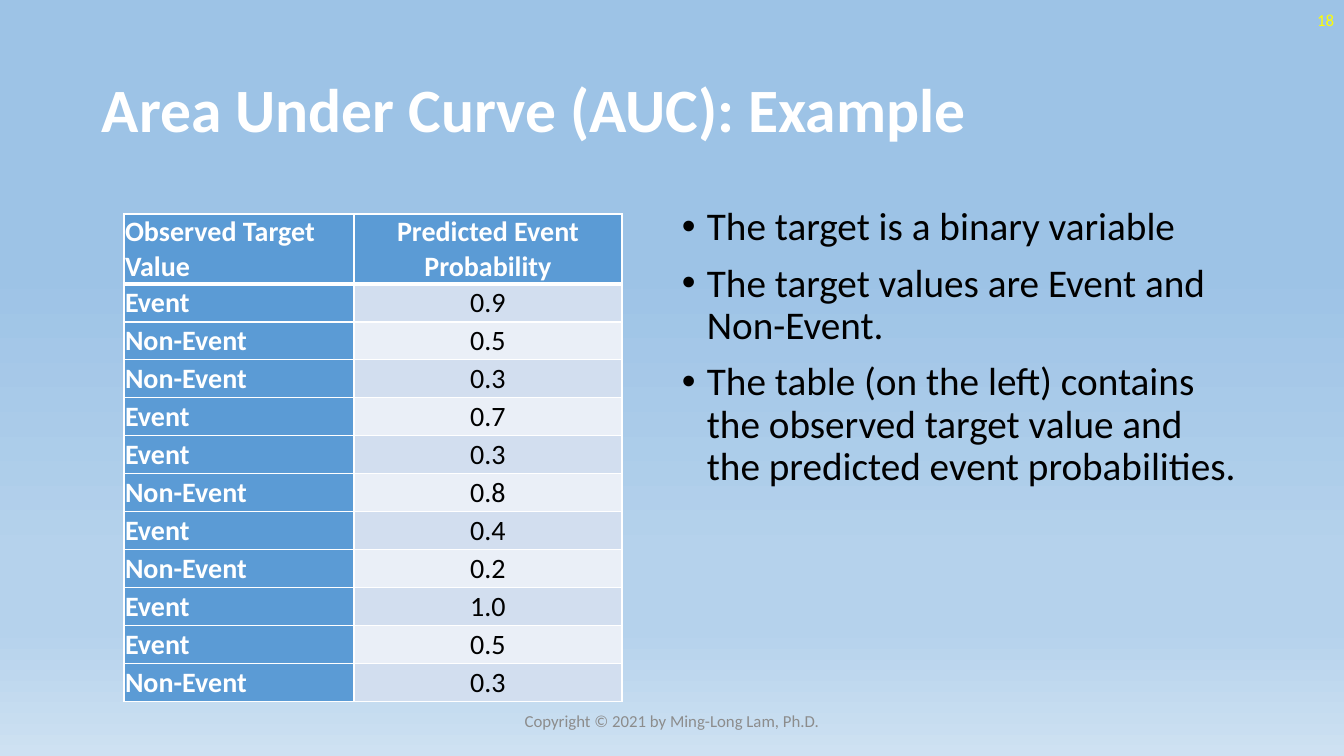
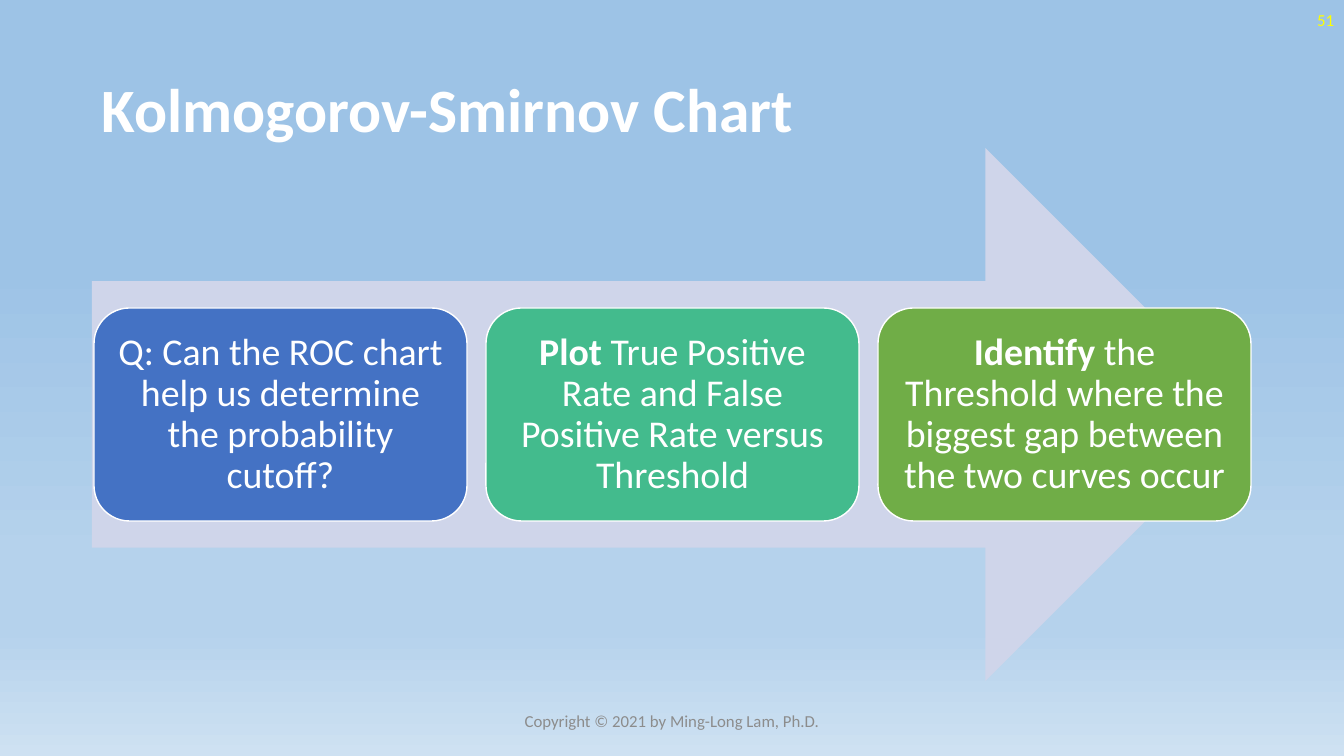
from dataclasses import dataclass

from lxml.etree import SubElement
from pptx import Presentation
from pptx.dml.color import RGBColor
from pptx.enum.shapes import MSO_SHAPE
from pptx.enum.text import MSO_ANCHOR, PP_ALIGN
from pptx.oxml.ns import qn
from pptx.util import Pt

PX = 914400 / 100.8


@dataclass(frozen=True)
class Theme:
    font: str = "Calibri"
    white: str = "FFFFFF"
    black: str = "000000"
    number: str = "FFFF00"
    footer: str = "8C8C8C"
    header: str = "5B9BD5"
    bands: tuple = ("D2DEEF", "EAEFF7")
    arrow: str = "CFD5EA"
    steps: tuple = ("4472C4", "43BB8D", "70AD47")
    sky: tuple = ((35, "9DC3E6"), (74, "B5D2EC"), (83, "B5D2EC"), (100, "CEE1F2"))
    title_size: int = 44
    body_size: int = 28
    step_size: int = 27
    table_size: int = 20
    small_size: int = 12


theme = Theme()


def px(*lengths):
    return [round(length * PX) for length in lengths]


def write(frame, paragraphs, size, color, frame_format=None, paragraph_format=None):
    frame_values = {"word_wrap": True, "vertical_anchor": MSO_ANCHOR.MIDDLE, **(frame_format or {})}
    for name, value in frame_values.items():
        setattr(frame, name, value)
    for index, runs in enumerate(paragraphs):
        paragraph = frame.add_paragraph() if index else frame.paragraphs[0]
        for name, value in (paragraph_format or {}).items():
            setattr(paragraph, name, value)
        for words, bold in runs:
            run = paragraph.add_run()
            run.text = words
            for name, value in {"name": theme.font, "size": Pt(size), "bold": bold}.items():
                setattr(run.font, name, value)
            run.font.color.rgb = RGBColor.from_string(color)


prs = Presentation()
prs.slide_width, prs.slide_height = px(1344, 756)

sky = prs.slide_master.background.fill
sky.gradient()
sky.gradient_angle = 270
stops = next(prs.slide_master.element.iter(qn("a:gsLst")))
for stop in list(stops):
    stops.remove(stop)
for position, color in theme.sky:
    stop = SubElement(stops, qn("a:gs"), pos=str(position * 1000))
    SubElement(stop, qn("a:srgbClr"), val=color)

headings = [("Area Under Curve (AUC): Example", "18"), ("Kolmogorov-Smirnov Chart", "51")]
for heading, number in headings:
    slide = prs.slides.add_slide(prs.slide_layouts[6])
    title = slide.shapes.add_textbox(*px(92, 40, 1160, 146))
    write(title.text_frame, [[(heading, True)]], theme.title_size, theme.white,
          paragraph_format={"line_spacing": 0.9})
    page = slide.shapes.add_textbox(*px(1042, 0, 302, 40))
    write(page.text_frame, [[(number, False)]], theme.small_size, theme.number,
          paragraph_format={"alignment": PP_ALIGN.RIGHT})
    footer = slide.shapes.add_textbox(*px(445, 701, 454, 40))
    write(footer.text_frame, [[("Copyright © 2021 by Ming-Long Lam, Ph.D.", False)]],
          theme.small_size, theme.footer, paragraph_format={"alignment": PP_ALIGN.CENTER})

auc_slide, ks_slide = prs.slides

notes_on_target = [
    "The target is a binary variable",
    "The target values are Event and Non-Event.",
    "The table (on the left) contains the observed target value and the predicted event probabilities.",
]
explanation = auc_slide.shapes.add_textbox(*px(672, 202, 580, 480))
write(explanation.text_frame, [[(note, False)] for note in notes_on_target],
      theme.body_size, theme.black, {"vertical_anchor": MSO_ANCHOR.TOP},
      {"line_spacing": 0.9, "space_before": Pt(10)})
indent, = px(25)
for paragraph in explanation.text_frame.paragraphs:
    properties = paragraph._p.get_or_add_pPr()
    properties.set("marL", str(indent))
    properties.set("indent", str(-indent))
    SubElement(properties, qn("a:buFont"), typeface="Arial")
    SubElement(properties, qn("a:buChar"), char="•")

observations = [
    ("Observed Target Value", "Predicted Event Probability"),
    ("Event", "0.9"),
    ("Non-Event", "0.5"),
    ("Non-Event", "0.3"),
    ("Event", "0.7"),
    ("Event", "0.3"),
    ("Non-Event", "0.8"),
    ("Event", "0.4"),
    ("Non-Event", "0.2"),
    ("Event", "1.0"),
    ("Event", "0.5"),
    ("Non-Event", "0.3"),
]
predictions = auc_slide.shapes.add_table(len(observations), 2, *px(124, 214, 498, 488)).table
for column, width in zip(predictions.columns, px(230, 268)):
    column.width = width
for row_index, values in enumerate(observations):
    predictions.rows[row_index].height, = px(38 if row_index else 70)
    for column_index, value in enumerate(values):
        cell = predictions.cell(row_index, column_index)
        is_heading = row_index == 0 or column_index == 0
        margins = px(1, 1, 1, 0)
        for side, margin in zip(("left", "right", "top", "bottom"), margins):
            setattr(cell, f"margin_{side}", margin)
        cell.vertical_anchor = MSO_ANCHOR.MIDDLE
        edges = {"L": 1, "R": 1, "T": 3 if row_index == 1 else 1, "B": 1 if row_index else 3}
        for edge, weight in edges.items():
            border = SubElement(cell._tc.get_or_add_tcPr(), qn(f"a:ln{edge}"), w=str(Pt(weight)))
            SubElement(SubElement(border, qn("a:solidFill")), qn("a:srgbClr"), val=theme.white)
        cell.fill.solid()
        cell.fill.fore_color.rgb = RGBColor.from_string(
            theme.header if is_heading else theme.bands[(row_index - 1) % 2])
        write(cell.text_frame, [[(value, is_heading)]], theme.table_size,
              theme.white if is_heading else theme.black,
              paragraph_format={"alignment": PP_ALIGN.CENTER if column_index else PP_ALIGN.LEFT})

process_arrow = ks_slide.shapes.add_shape(MSO_SHAPE.RIGHT_ARROW, *px(92, 148, 1160, 533))
process_arrow.shadow.inherit = False
process_arrow.fill.solid()
process_arrow.fill.fore_color.rgb = RGBColor.from_string(theme.arrow)
process_arrow.line.fill.background()

steps = [
    [("Q: Can the ROC chart help us determine the probability cutoff?", False)],
    [("Plot", True), (" True Positive Rate and False Positive Rate versus Threshold", False)],
    [("Identify", True), (" the Threshold where the biggest gap between the two curves occur", False)],
]
step_margin, = px(11)
step_margins = {f"margin_{side}": step_margin for side in ("left", "right", "top", "bottom")}
for index, (runs, color) in enumerate(zip(steps, theme.steps)):
    step = ks_slide.shapes.add_shape(MSO_SHAPE.ROUNDED_RECTANGLE, *px(94 + 392 * index, 308, 373, 213))
    step.shadow.inherit = False
    step.fill.solid()
    step.fill.fore_color.rgb = RGBColor.from_string(color)
    step.line.color.rgb = RGBColor.from_string(theme.white)
    step.line.width = Pt(1)
    write(step.text_frame, [runs], theme.step_size, theme.white, step_margins,
          {"alignment": PP_ALIGN.CENTER, "line_spacing": 0.9})

prs.save("out.pptx")
